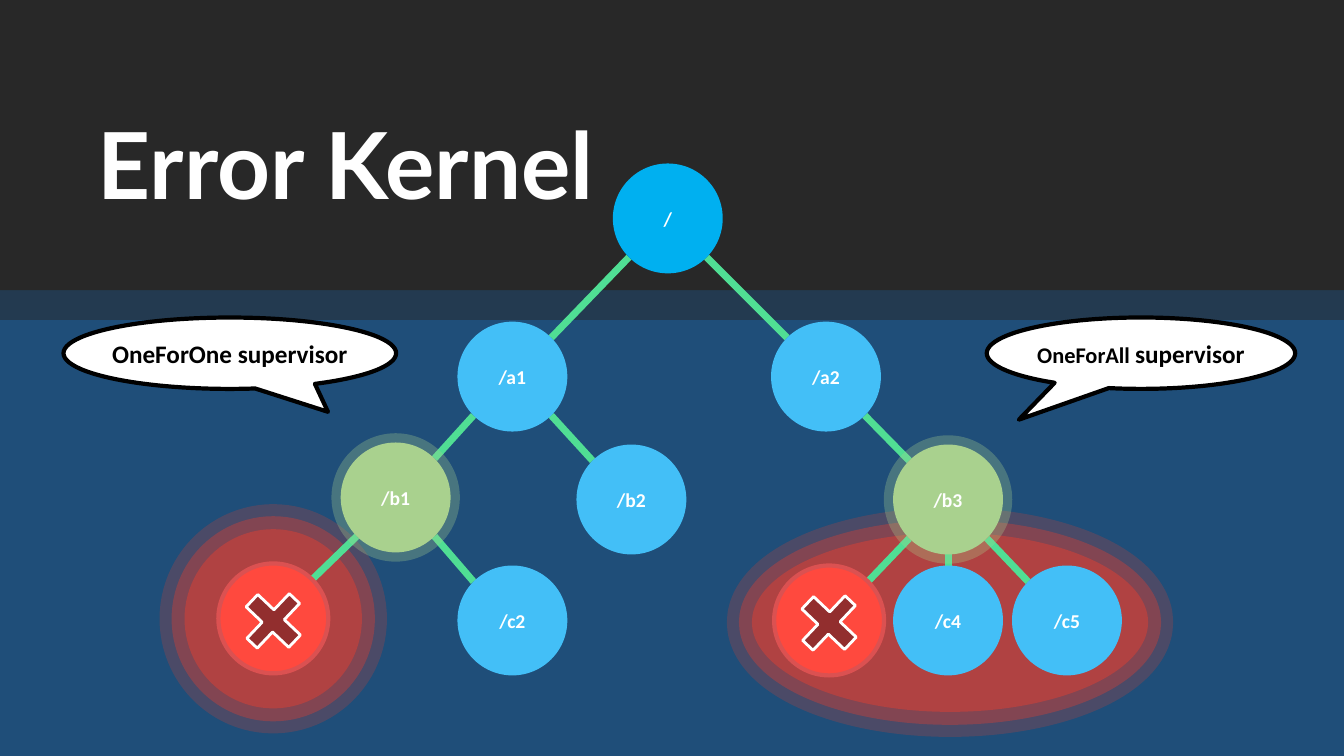
from pptx import Presentation
from pptx.dml.color import RGBColor
from pptx.enum.shapes import MSO_CONNECTOR, MSO_SHAPE
from pptx.enum.text import MSO_ANCHOR, MSO_AUTO_SIZE, PP_ALIGN
from pptx.oxml import parse_xml
from pptx.oxml.ns import nsdecls, qn
from pptx.oxml.xmlchemy import OxmlElement
from pptx.util import Pt

W, H = 960, 540
TITLE = "Error Kernel"
DIAMETER = 78.5
WHITE, BLACK, DARK, BLUE = "FFFFFF", "000000", "282828", "43BFF7"
EDGE, GREEN, RED = "50DE94", "A9D18E", "B04242"

# Actor centres
ACTORS = {
    "/": (477, 156),
    "/a1": (366, 269), "/a2": (590, 269),
    "/b1": (282.6, 355.3), "/b2": (451, 356.8), "/b3": (677.2, 356.8),
    "/c1": (195.2, 441.7), "/c2": (366, 443.2),
    "/c3": (592.2, 443.2), "/c4": (677.2, 443.2), "/c5": (762.1, 443.2),
}
CHILDREN = {
    "/": ["/a1", "/a2"],
    "/a1": ["/b1", "/b2"], "/a2": ["/b3"],
    "/b1": ["/c1", "/c2"], "/b3": ["/c3", "/c4", "/c5"],
}
FAILED = ["/c1", "/c3"]
SUPERVISORS = ["/b1", "/b3"]
# Failure zones: centre x, centre y, width, height
ZONES = [(678.6, 444.5, 283, 128), (195.2, 442, 126.7, 128)]
ZONE_RINGS = [(RED, 18.5, 54), (None, 35.75, 31)]  # fill, line width, opacity
# Callouts: left, width, tail, runs
CALLOUTS = [
    (45.4, 237.6, (0.295, 0.821), [("OneForOne supervisor", 18)]),
    (704.9, 220.3, (-0.396, 0.931), [("OneForAll ", 16), ("supervisor", 18)]),
]


def rgb(color):
    """Turn a hex string into a colour."""
    return RGBColor.from_string(color)


def fade(element, percent):
    """Set the opacity of the colours inside an XML element."""
    for clr in element.iter(qn("a:srgbClr")):
        alpha = OxmlElement("a:alpha")
        alpha.set("val", str(percent * 1000))
        clr.append(alpha)


def shape(kind, x, y, w, h, fill=None, line=None, width=0, opacity=100):
    """Add a preset shape; opacity applies to its outline."""
    sp = s.shapes.add_shape(kind, Pt(x), Pt(y), Pt(w), Pt(h))
    sp.shadow.inherit = False
    if fill:
        sp.fill.solid()
        sp.fill.fore_color.rgb = rgb(fill)
    else:
        sp.fill.background()
    if line:
        sp.line.color.rgb = rgb(line)
        sp.line.width = Pt(width)
        if opacity < 100:
            fade(sp.line._get_or_add_ln(), opacity)
    else:
        sp.line.fill.background()
    return sp


def centred(kind, cx, cy, w, h, *style):
    """Add a shape around its centre."""
    return shape(kind, cx - w / 2, cy - h / 2, w, h, *style)


def write(sp, runs, color, font="Calibri", align=PP_ALIGN.CENTER):
    """Write bold runs of (text, size) into a shape."""
    p = sp.text_frame.paragraphs[0]
    p.alignment = align
    for text, size in runs:
        r = p.add_run()
        r.text = text
        r.font.name, r.font.size, r.font.bold = font, Pt(size), True
        r.font.color.rgb = rgb(color)


def actor(name, *style):
    """Add the labelled circle of one actor."""
    sp = centred(MSO_SHAPE.OVAL, *ACTORS[name], DIAMETER, DIAMETER, *style)
    sp.text_frame.vertical_anchor = MSO_ANCHOR.MIDDLE
    write(sp, [(name, 14)], WHITE)


def edge(parent, child):
    """Join two circles, diagonally or straight down."""
    (x1, y1), (x2, y2) = ACTORS[parent], ACTORS[child]
    side = (x2 > x1) - (x2 < x1)
    dy = DIAMETER / 2 * (0.5 ** 0.5 if side else 1)
    dx = side * dy
    line = s.shapes.add_connector(MSO_CONNECTOR.STRAIGHT, Pt(x1 + dx), Pt(y1 + dy),
                                  Pt(x2 - dx), Pt(y2 - dy))
    line.line.color.rgb = rgb(EDGE)
    line.line.width = Pt(5)
    line.element.spPr.append(OxmlElement("a:effectLst"))


prs = Presentation()
prs.slide_width, prs.slide_height = Pt(W), Pt(H)
s = prs.slides.add_slide(prs.slide_layouts[5])
s.background.fill.solid()
s.background.fill.fore_color.rgb = rgb("1F4E79")

strip = shape(MSO_SHAPE.RECTANGLE, 0, 207.5, W, 21, DARK)
fade(strip.element.spPr, 50)
for zone in ZONES:
    for fill, width, opacity in ZONE_RINGS:
        centred(MSO_SHAPE.OVAL, *zone, fill, RED, width, opacity)
shape(MSO_SHAPE.RECTANGLE, 0, 0, W, 207.5, DARK)

for parent, children in CHILDREN.items():
    for child in children:
        edge(parent, child)
for name in ACTORS:
    if name not in FAILED + SUPERVISORS:
        actor(name, "00B0F0" if name == "/" else BLUE)

title = s.shapes.title
title.left, title.top, title.width, title.height = Pt(62.6), Pt(72.7), Pt(838.8), Pt(87)
tf = title.text_frame
tf.word_wrap, tf.vertical_anchor = True, MSO_ANCHOR.TOP
tf.auto_size = MSO_AUTO_SIZE.SHAPE_TO_FIT_TEXT
write(title, [(TITLE, 66)], WHITE, "Lato", PP_ALIGN.LEFT)
rPr = tf.paragraphs[0].runs[0].font.fill._xPr
rPr.find(qn("a:solidFill")).addnext(parse_xml(
    f'<a:effectLst {nsdecls("a")}><a:outerShdw dist="63500" dir="2700000">'
    f'<a:srgbClr val="{BLACK}"/></a:outerShdw></a:effectLst>'))
title.element.getparent().append(title.element)  # in front of the header band

for name in FAILED:
    x, y = ACTORS[name]
    centred(MSO_SHAPE.OVAL, x, y, DIAMETER, DIAMETER, "FF493E", "DB5151", 3)
    cross = centred(MSO_SHAPE.CROSS, x, y + 1.8, 44, 42, "922E2E", WHITE, 2)
    cross.adjustments[0] = 0.379
    cross.rotation = 313.5

for left, width, tail, runs in CALLOUTS:
    sp = shape(MSO_SHAPE.OVAL_CALLOUT, left, 226.8, width, 51, WHITE, BLACK, 3)
    sp.adjustments[0], sp.adjustments[1] = tail
    sp.text_frame.word_wrap = False
    sp.text_frame.vertical_anchor = MSO_ANCHOR.MIDDLE
    write(sp, runs, BLACK)

for name in SUPERVISORS:
    actor(name, GREEN, GREEN, 13.25, 30)

prs.save("out.pptx")
